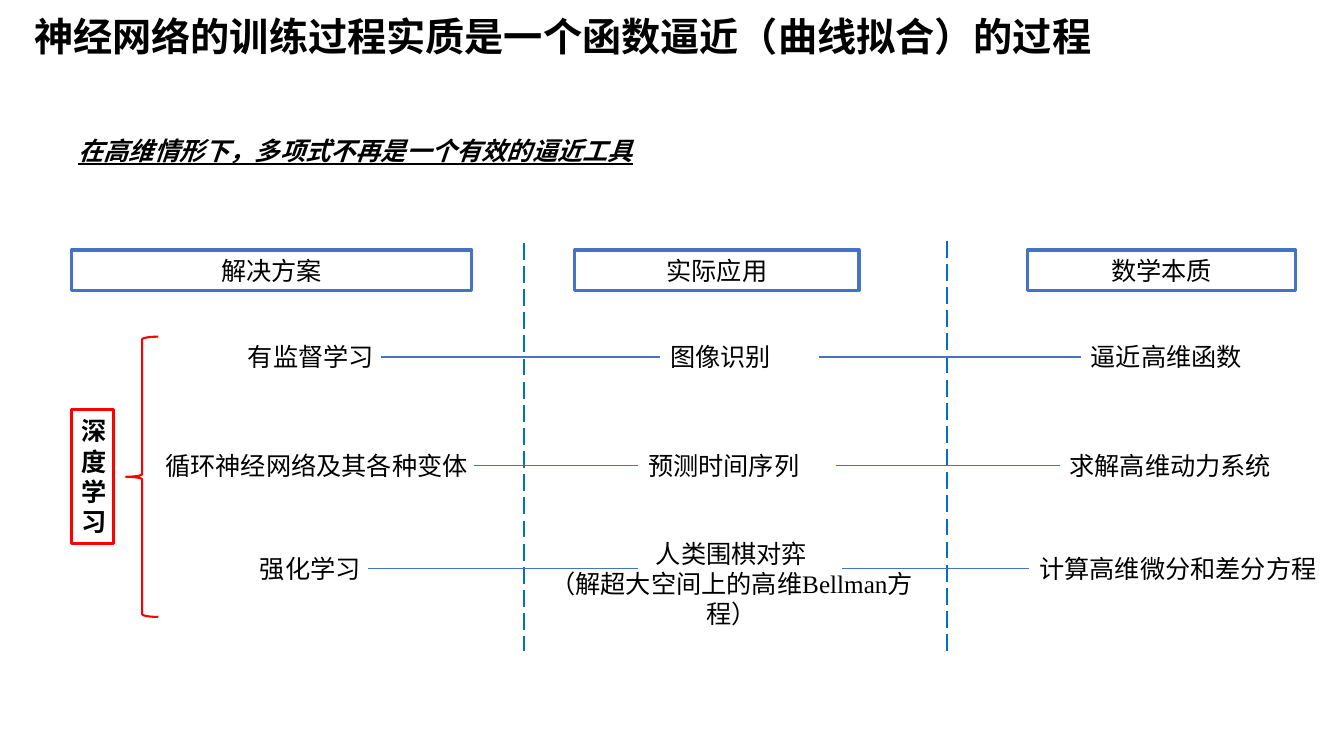
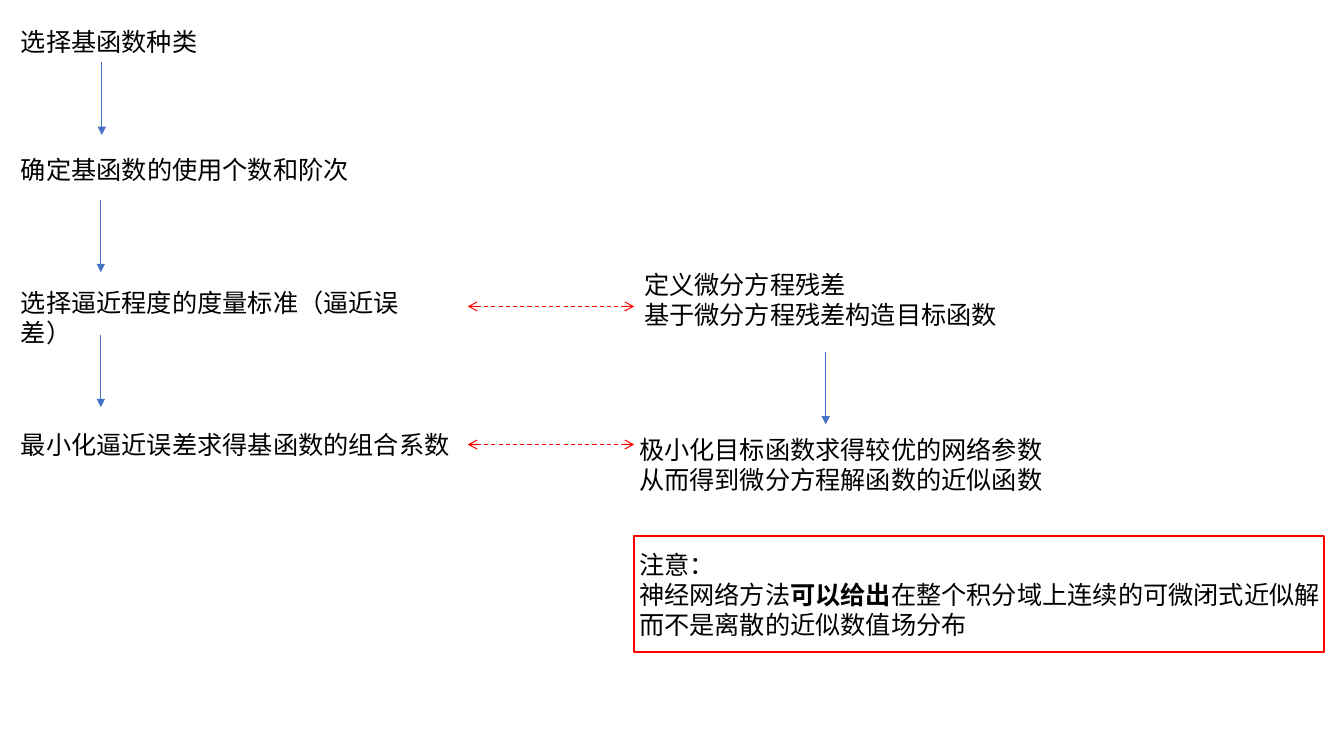
from lxml.etree import SubElement
from pptx import Presentation
from pptx.dml.color import RGBColor
from pptx.enum.dml import MSO_LINE
from pptx.enum.shapes import MSO_CONNECTOR, MSO_SHAPE
from pptx.enum.text import PP_ALIGN
from pptx.oxml.ns import qn
from pptx.util import Inches, Pt

SANS, SERIF = "Noto Sans CJK SC", "Times New Roman"
BLACK, BLUE, DIVIDER_BLUE, RED = "000000", "4472C4", "0070C0", "FF0000"
LEFT_SIDE = 1
ROW_HEIGHT = 0.4


def rgb(code):
    """Turn a hex string into a colour."""
    return RGBColor.from_string(code)


def write(holder, paragraphs, size=18, font=SANS, color=BLACK, bold=False,
          italic=False, underline=False, align=PP_ALIGN.LEFT):
    """Fill a shape with paragraphs, each a string or a list of (text, bold) pairs."""
    frame = holder.text_frame
    frame.word_wrap = True
    for index, content in enumerate(paragraphs):
        paragraph = frame.paragraphs[0] if index == 0 else frame.add_paragraph()
        paragraph.alignment = align
        pieces = [(content, bold)] if isinstance(content, str) else content
        for wording, strong in pieces:
            run = paragraph.add_run()
            run.text = wording
            run.font.size, run.font.name = Pt(size), font
            run.font.bold, run.font.italic = strong, italic
            run.font.underline = underline
            run.font.color.rgb = rgb(color)
            SubElement(run.font._element, qn("a:ea"), typeface=SANS)


def add_text(slide, left, top, width, height, *paragraphs, **style):
    """Place a text box and return it."""
    label = slide.shapes.add_textbox(*map(Inches, (left, top, width, height)))
    write(label, paragraphs, **style)
    return label


def add_outline(slide, left, top, width, height, color, weight,
                preset=MSO_SHAPE.RECTANGLE):
    """Place an unfilled preset shape with a coloured outline."""
    outline = slide.shapes.add_shape(preset, *map(Inches, (left, top, width, height)))
    outline.shadow.inherit = False
    outline.fill.background()
    outline.line.color.rgb = rgb(color)
    outline.line.width = Pt(weight)
    return outline


def add_line(slide, start, end, color=BLUE, weight=1, dash=None, head=None,
             tail=None, target=None):
    """Draw a straight line, optionally joined to the left side of a target."""
    link = slide.shapes.add_connector(MSO_CONNECTOR.STRAIGHT,
                                      *map(Inches, (*start, *end)))
    link.line.color.rgb = rgb(color)
    link.line.width = Pt(weight)
    if dash:
        link.line.dash_style = dash
    properties = link.element.spPr
    for tag, arrow in (("a:headEnd", head), ("a:tailEnd", tail)):
        if arrow:
            SubElement(properties.find(qn("a:ln")), qn(tag), type=arrow)
    SubElement(properties, qn("a:effectLst"))
    if target:
        link.end_connect(target, LEFT_SIDE)


def add_title(slide, wording):
    """Write the slide title."""
    add_text(slide, 0.24, 0.07, 10.92, 0.57, wording, size=28, bold=True)


def add_header(slide, left, width, wording):
    """Draw a framed column header."""
    frame = add_outline(slide, left, 2.48, width, ROW_HEIGHT, BLUE, 2.25)
    write(frame, [wording], align=PP_ALIGN.CENTER)


def add_down_arrow(slide, x, top):
    """Draw the arrow that leads to the next step."""
    add_line(slide, (x, top), (x, top + 0.72), weight=0.5, tail="triangle")


def build_overview(prs):
    """Build the slide relating solutions, applications and mathematics."""
    slide = prs.slides.add_slide(prs.slide_layouts[6])
    add_title(slide, "神经网络的训练过程实质是一个函数逼近（曲线拟合）的过程")
    add_text(slide, 0.68, 1.29, 5.98, ROW_HEIGHT,
             "在高维情形下，多项式不再是一个有效的逼近工具",
             font=SERIF, bold=True, italic=True, underline=True)

    for left, width, wording in ((0.71, 3.97, "解决方案"), (5.7, 2.82, "实际应用"),
                                 (10.19, 2.66, "数学本质")):
        add_header(slide, left, width, wording)
    for x, top in ((5.2, 2.41), (9.39, 2.39)):
        add_line(slide, (x, top), (x, 6.46), DIVIDER_BLUE, 1.5, MSO_LINE.LONG_DASH)

    topic = add_outline(slide, 0.71, 4.06, 0.42, 1.33, RED, 2.25)
    write(topic, "深度学习", font=SERIF, bold=True)
    add_outline(slide, 1.25, 3.34, 0.32, 2.78, RED, 1.5, MSO_SHAPE.LEFT_BRACE)

    rows = (
        (3.34, (2.36, 1.66, "有监督学习"), (6.55, 1.41, "图像识别"),
         (10.72, 1.75, "逼近高维函数"), 3.78, 8.12),
        (4.42, (1.54, 3.29, "循环神经网络及其各种变体"), (6.33, 1.84, "预测时间序列"),
         (10.51, 2.3, "求解高维动力系统"), 4.7, 8.29),
        (5.44, (2.48, 1.41, "强化学习"), None,
         (10.21, 3.12, "计算高维微分和差分方程"), 3.65, 8.35),
    )
    for top, solution, application, essence, first_start, second_start in rows:
        middle = top + ROW_HEIGHT / 2
        cells = [cell and add_text(slide, cell[0], top, cell[1], ROW_HEIGHT, cell[2])
                 for cell in (solution, application, essence)]
        add_line(slide, (first_start, middle), (6.33, middle), target=cells[1])
        add_line(slide, (second_start, middle), (essence[0], middle), target=cells[2])
    add_text(slide, 5.16, 5.29, 4.19, 0.71, "人类围棋对弈",
             "（解超大空间上的高维Bellman方程）", font=SERIF, align=PP_ALIGN.CENTER)


def build_steps(prs):
    """Build the slide comparing approximation steps with network training."""
    slide = prs.slides.add_slide(prs.slide_layouts[6])
    for top, width, wording in ((0.21, 2.03, "选择基函数种类"),
                                (1.48, 3.61, "确定基函数的使用个数和阶次"),
                                (2.8, 4.37, "选择逼近程度的度量标准（逼近误差）"),
                                (4.21, 4.56, "最小化逼近误差求得基函数的组合系数")):
        add_text(slide, 0.11, top, width, ROW_HEIGHT, wording)
    for x, top in ((1.01, 0.62), (1, 1.98), (1, 3.32), (8.19, 3.49)):
        add_down_arrow(slide, x, top)

    add_text(slide, 6.29, 2.62, 3.81, 0.71,
             "定义微分方程残差", "基于微分方程残差构造目标函数")
    add_text(slide, 6.24, 4.26, 4.39, 0.71,
             "极小化目标函数求得较优的网络参数从而得到微分方程解函数的近似函数")
    for y in (3.04, 4.41):
        add_line(slide, (4.64, y), (6.29, y), RED, 0.75, MSO_LINE.DASH,
                 head="arrow", tail="arrow")

    add_text(slide, 6.24, 5.4, 7.09, 1.01, "注意：",
             [("神经网络方法", False), ("可以给出", True),
              ("在整个积分域上连续的可微闭式近似解而不是离散的近似数值场分布", False)],
             font=SERIF)
    add_outline(slide, 6.29, 5.32, 6.84, 1.15, RED, 1.5)


def main():
    """Build and save the presentation."""
    prs = Presentation()
    prs.slide_width, prs.slide_height = Inches(13.33), Inches(7.5)
    build_overview(prs)
    build_steps(prs)
    prs.save("out.pptx")


if __name__ == "__main__":
    main()
